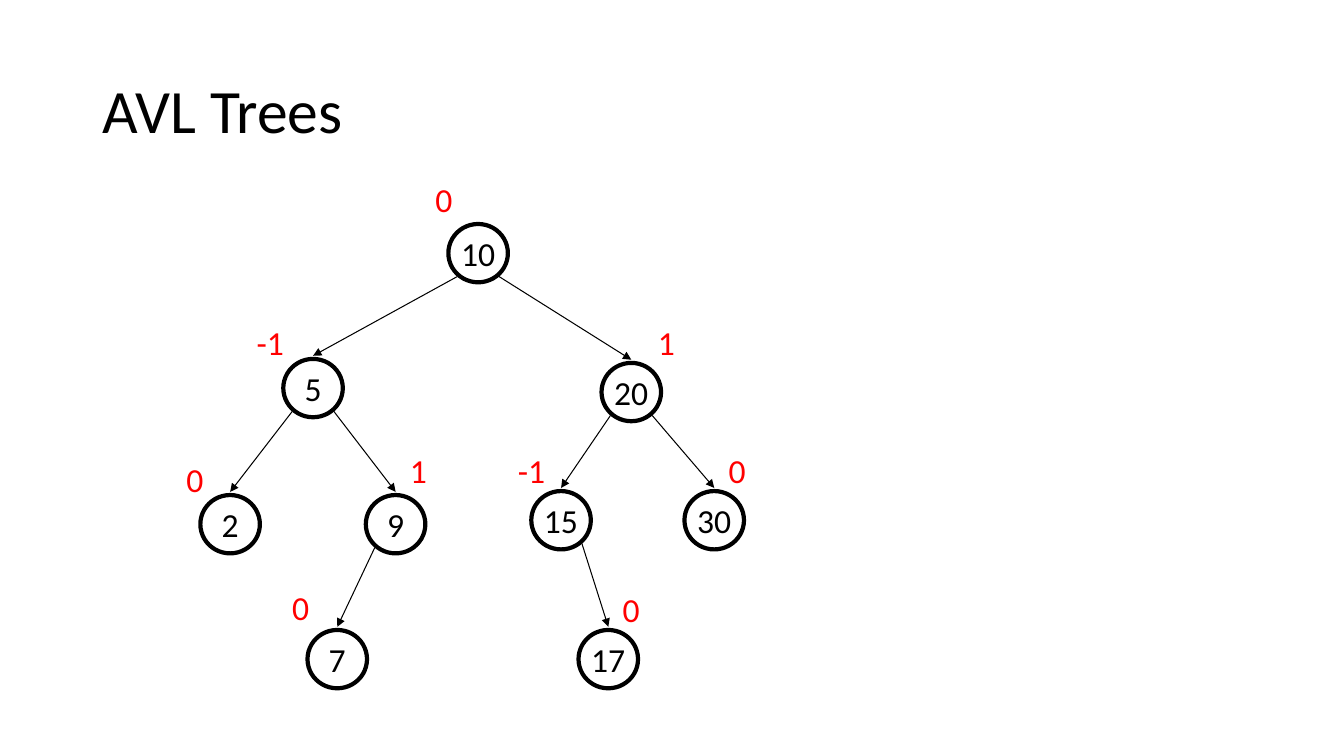
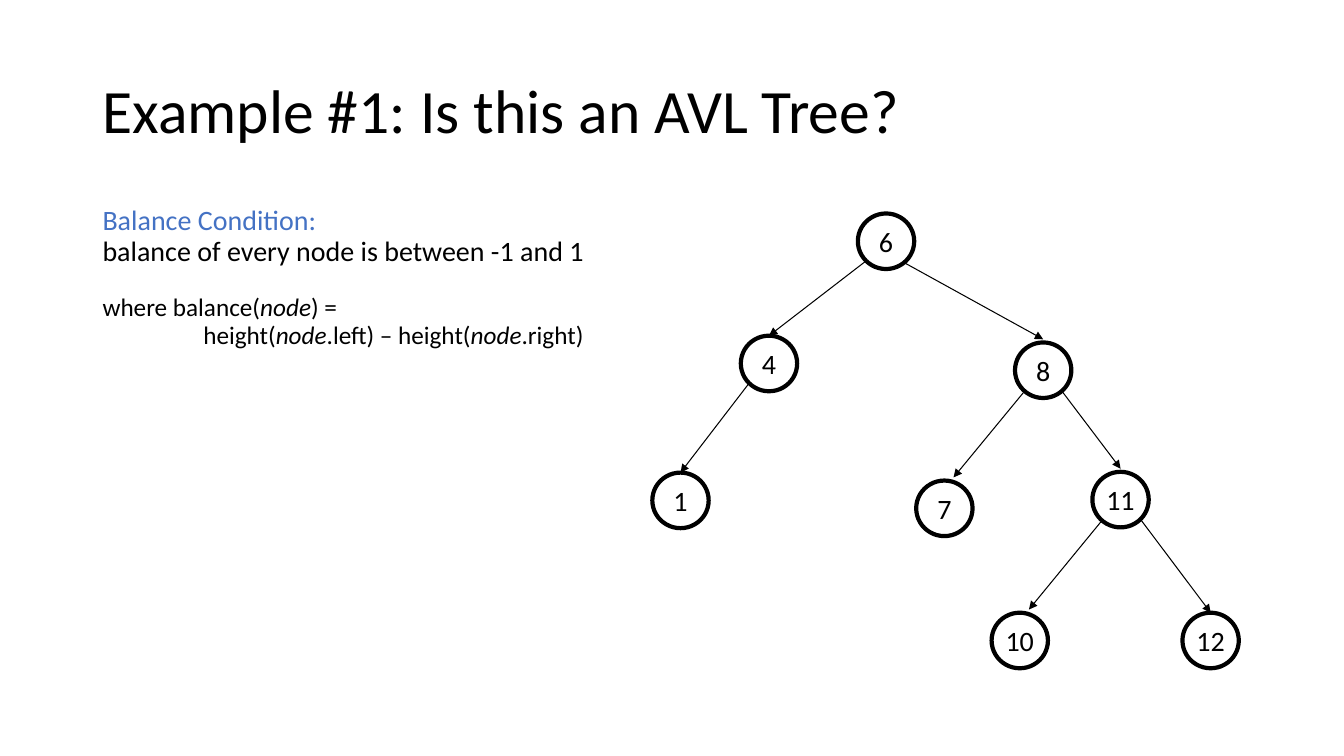
"""Builds two slides on AVL trees, each with a title and a drawn tree."""
from dataclasses import dataclass

from lxml import etree
from pptx import Presentation
from pptx import util as u
from pptx.dml.color import RGBColor
from pptx.enum import shapes, text
from pptx.oxml.ns import qn


@dataclass(frozen=True)
class Theme:
    face: str = "Calibri"
    ink: RGBColor = RGBColor(0, 0, 0)
    mark: RGBColor = RGBColor(0xFF, 0, 0)
    head: RGBColor = RGBColor(0x44, 0x72, 0xC4)
    title: int = 44
    large: int = 24
    body: int = 20
    small: int = 18
    ring: float = 3
    edge: float = 0.75


theme = Theme()


def style(para, size, color):
    """Set the font of a whole paragraph."""
    para.font.name = theme.face
    para.font.size = u.Pt(size)
    para.font.color.rgb = color


def draw(slide, tree, wide, high, size):
    """Draw the edges and nodes of a tree given by node centres."""
    for key, (x, y, root, touch, shift) in tree.items():
        if root:
            px, py = tree[root][:2]
            side = 1 if x > px else -1
            drop, gap = (0.35, 0) if touch else (0.4, 0.08)
            line = slide.shapes.add_connector(
                shapes.MSO_CONNECTOR.STRAIGHT,
                u.Cm(px + side * 0.35 * wide), u.Cm(py + drop * high),
                u.Cm(x + shift), u.Cm(y - high / 2 - gap))
            line.line.color.rgb = theme.ink
            line.line.width = u.Pt(theme.edge)
            props = line._element.spPr
            etree.SubElement(props.find(qn("a:ln")), qn("a:tailEnd"), type="triangle")
            etree.SubElement(props, qn("a:effectLst"))
        node = slide.shapes.add_shape(
            shapes.MSO_SHAPE.OVAL, u.Cm(x - wide / 2), u.Cm(y - high / 2),
            u.Cm(wide), u.Cm(high))
        node.shadow.inherit = False
        node.fill.background()
        node.line.color.rgb = theme.ink
        node.line.width = u.Pt(theme.ring)
        frame = node.text_frame
        frame.word_wrap = False
        frame.vertical_anchor = text.MSO_ANCHOR.MIDDLE
        para = frame.paragraphs[0]
        para.text = key
        para.alignment = text.PP_ALIGN.CENTER
        style(para, size, theme.ink)


deck = Presentation()
deck.slide_width, deck.slide_height = u.Cm(33.87), u.Cm(19.05)

slides = []
for kind, name in ((5, "AVL Trees"), (1, "Example #1: Is this an AVL Tree?")):
    slide = deck.slides.add_slide(deck.slide_layouts[kind])
    title = slide.shapes.title
    title.left, title.top = u.Cm(2.33), u.Cm(1.02)
    title.width, title.height = u.Cm(29.21), u.Cm(3.68)
    title.text_frame.vertical_anchor = text.MSO_ANCHOR.MIDDLE
    para = title.text_frame.paragraphs[0]
    para.text = name
    para.alignment = text.PP_ALIGN.LEFT
    para.line_spacing = 0.9
    style(para, theme.title, theme.ink)
    slides.append(slide)
first, second = slides

draw(first, {
    "10": (12.05, 6.38, None, False, 0),
    "5": (7.89, 9.78, "10", False, 0),
    "20": (15.91, 9.88, "10", False, 0),
    "2": (5.8, 13.21, "5", False, 0),
    "9": (9.97, 13.21, "5", False, 0),
    "15": (14.14, 13.11, "20", False, 0),
    "30": (18, 13.11, "20", False, 0),
    "7": (8.5, 16.61, "9", False, 0),
    "17": (15.33, 16.61, "15", False, 0),
}, 1.5, 1.47, theme.large)

for value, x, y in (
        ("0", 10.72, 4.39), ("-1", 6.22, 7.98), ("1", 16.33, 7.98),
        ("0", 4.45, 11.43), ("1", 10.08, 11.2), ("-1", 12.8, 11.2),
        ("0", 18.11, 11.2), ("0", 7.11, 14.66), ("0", 15.44, 14.71)):
    box = first.shapes.add_textbox(
        u.Cm(x), u.Cm(y), u.Cm(1.22 if value == "-1" else 0.94), u.Cm(1.27))
    box.text_frame.word_wrap = False
    box.text_frame.auto_size = text.MSO_AUTO_SIZE.SHAPE_TO_FIT_TEXT
    para = box.text_frame.paragraphs[0]
    para.text = value
    style(para, theme.large, theme.mark)

body = second.placeholders[1]
body.left, body.top = u.Cm(2.33), u.Cm(5.08)
body.width, body.height = u.Cm(14.71), u.Cm(12.09)
frame = body.text_frame
lines = (
    (("Balance Condition:",), theme.body, theme.head, 0, 0),
    (("balance of every node is between -1 and 1",), theme.body, theme.ink, 0, 0),
    (("where balance(", "node", ") ="), theme.small, theme.ink, 20, 0),
    (("height(", "node", ".left) – height(", "node", ".right)"),
     theme.small, theme.ink, 0, 2.54),
)
for rank, (parts, size, color, space, inset) in enumerate(lines):
    para = frame.add_paragraph() if rank else frame.paragraphs[0]
    para.line_spacing = 0.9
    para.space_before = u.Pt(space)
    style(para, size, color)
    props = para._p.get_or_add_pPr()
    props.set("marL", str(u.Cm(inset)))
    props.set("indent", "0")
    props.insert_element_before(
        etree.Element(qn("a:buNone")), "a:tabLst", "a:defRPr", "a:extLst")
    for part in parts:
        run = para.add_run()
        run.text = part
        if part == "node":
            run.font.italic = True

draw(second, {
    "6": (22.33, 6.08, None, False, 0),
    "4": (19.38, 9.16, "6", True, 0),
    "8": (26.29, 9.33, "6", False, 0),
    "1": (17.15, 12.61, "4", True, 0),
    "7": (23.8, 12.81, "8", False, 0.23),
    "11": (28.24, 12.59, "8", False, 0),
    "10": (25.7, 16.14, "11", False, 0.23),
    "12": (30.51, 16.14, "11", True, 0),
}, 1.42, 1.4, theme.body)

deck.save("out.pptx")
